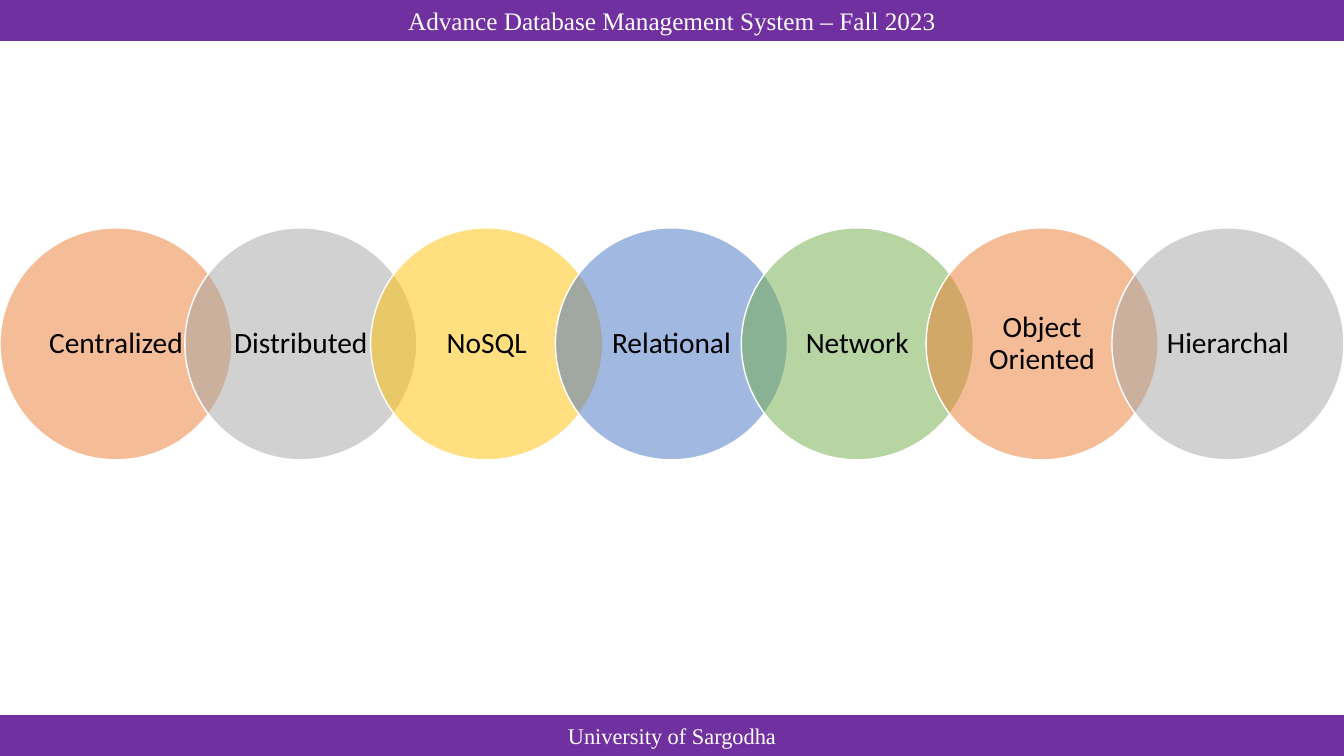
from pptx import Presentation
from pptx import util as u
from pptx.dml.color import RGBColor
from pptx.enum import shapes, text
from pptx.oxml.ns import qn
from lxml import etree

PX = 9525  # EMU per px at 96 px to the inch
WIDTH, HEIGHT = 1280, 720
BAR_HEIGHT = 39
BAR_BOTTOM = 681
DIAMETER = 221
CIRCLE_TOP = 217

PURPLE = RGBColor(0x70, 0x30, 0xA0)
WHITE = RGBColor(0xFF, 0xFF, 0xFF)
BLACK = RGBColor(0x00, 0x00, 0x00)
ORANGE = RGBColor(0xED, 0x7D, 0x31)
GREY = RGBColor(0xA5, 0xA5, 0xA5)
GOLD = RGBColor(0xFF, 0xC0, 0x00)
BLUE = RGBColor(0x44, 0x72, 0xC4)
GREEN = RGBColor(0x70, 0xAD, 0x47)

DATABASE_TYPES = [
    ("Centralized", ORANGE),
    ("Distributed", GREY),
    ("NoSQL", GOLD),
    ("Relational", BLUE),
    ("Network", GREEN),
    ("Object Oriented", ORANGE),
    ("Hierarchal", GREY),
]


def write_centred(shape, words, font_name, size, color):
    frame = shape.text_frame
    frame.text = words
    frame.word_wrap = True
    frame.auto_size = text.MSO_AUTO_SIZE.NONE
    frame.vertical_anchor = text.MSO_ANCHOR.MIDDLE
    paragraph = frame.paragraphs[0]
    paragraph.alignment = text.PP_ALIGN.CENTER
    paragraph.font.name = font_name
    paragraph.font.size = u.Pt(size)
    paragraph.font.color.rgb = color


presentation = Presentation()
presentation.slide_width = WIDTH * PX
presentation.slide_height = HEIGHT * PX
slide = presentation.slides.add_slide(presentation.slide_layouts[5])

# Header and footer bars
header = slide.shapes.title
header.left, header.top = 0, 0
header.width, header.height = WIDTH * PX, BAR_HEIGHT * PX
footer = slide.shapes.add_shape(
    shapes.MSO_SHAPE.RECTANGLE, 0, BAR_BOTTOM * PX, WIDTH * PX, BAR_HEIGHT * PX)
footer.shadow.inherit = False
footer.line.fill.background()
for bar, words, size in [
    (header, "Advance Database Management System – Fall 2023", 18),
    (footer, "University of Sargodha", 16),
]:
    bar.fill.solid()
    bar.fill.fore_color.rgb = PURPLE
    write_centred(bar, words, "Times New Roman", size, WHITE)

# Overlapping circles spread evenly over the full width
gaps = len(DATABASE_TYPES) - 1
for index, (name, color) in enumerate(DATABASE_TYPES):
    left = index * (WIDTH - DIAMETER) // gaps
    circle = slide.shapes.add_shape(
        shapes.MSO_SHAPE.OVAL, left * PX, CIRCLE_TOP * PX, DIAMETER * PX, DIAMETER * PX)
    circle.shadow.inherit = False
    circle.fill.solid()
    circle.fill.fore_color.rgb = color
    fill_color = circle.fill._xPr.find(qn("a:solidFill"))[0]
    etree.SubElement(fill_color, qn("a:alpha"), val="50000")
    circle.line.color.rgb = WHITE
    circle.line.width = u.Pt(1)
    write_centred(circle, name, "Calibri", 21, BLACK)
    frame = circle.text_frame
    frame.margin_left = frame.margin_right = 12 * PX
    frame.margin_top = frame.margin_bottom = 3 * PX
    frame.paragraphs[0].line_spacing = 0.9

presentation.save("out.pptx")
